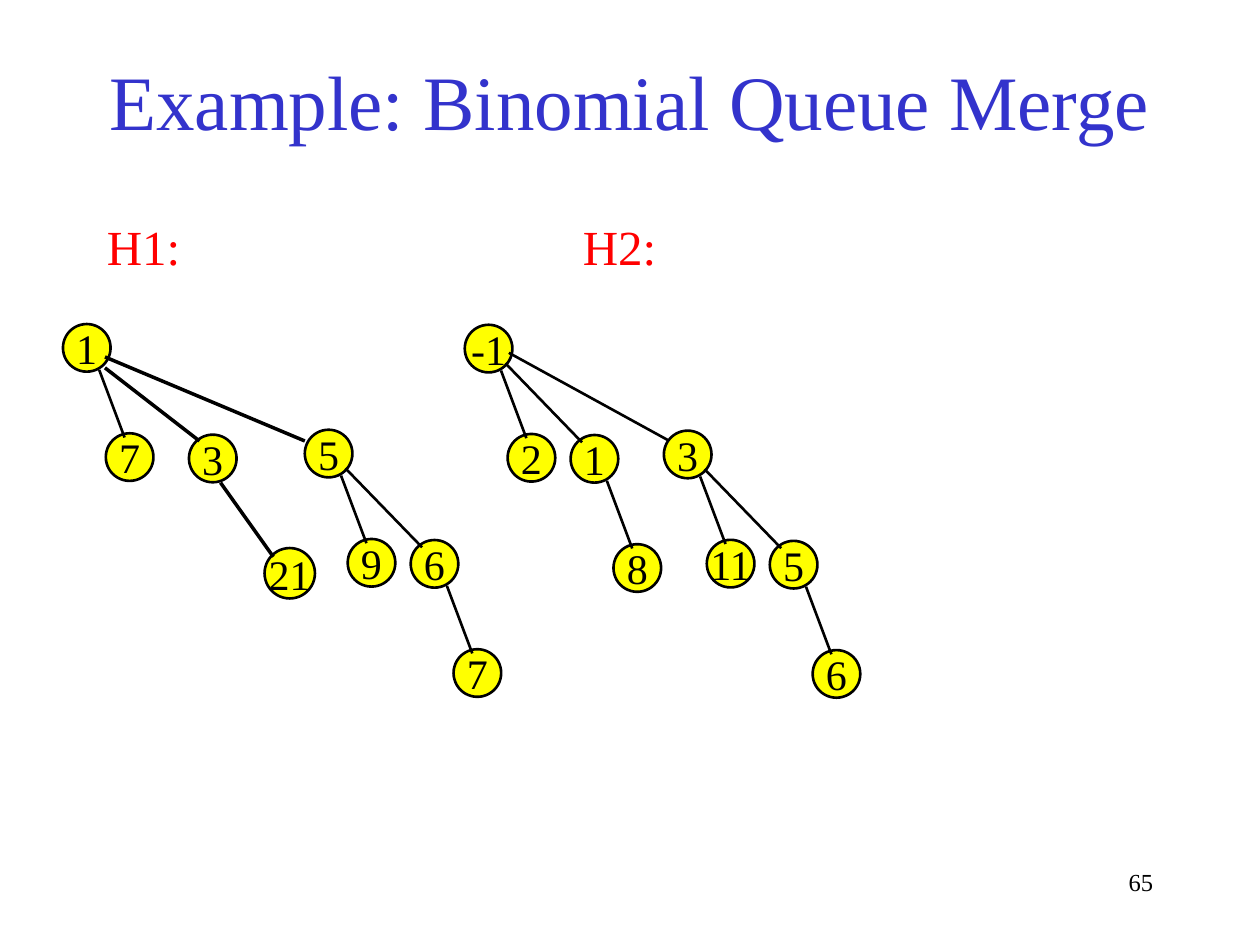
from lxml import etree
from pptx import Presentation
from pptx.dml.color import RGBColor
from pptx.enum.shapes import MSO_CONNECTOR, MSO_SHAPE
from pptx.enum.text import MSO_ANCHOR, PP_ALIGN
from pptx.oxml.ns import qn
from pptx.util import Pt

OVAL, LINE = MSO_SHAPE.OVAL, MSO_CONNECTOR.STRAIGHT
TOP, MID = MSO_ANCHOR.TOP, MSO_ANCHOR.MIDDLE
LEFT, MIDDLE, RIGHT = PP_ALIGN.LEFT, PP_ALIGN.CENTER, PP_ALIGN.RIGHT

# Content: a tree is (key, [(link kind, subtree), ...])
TITLE = "Example: Binomial Queue Merge"
HEADS = [("H1:", 54), ("H2:", 326)]
PAGE = "65"
H1 = ("1", [
    ("near", ("7", [])),
    ("wide", ("3", [("steep", ("21", []))])),
    ("long", ("5", [
        ("near", ("9", [])),
        ("mid", ("6", [("near", ("7", []))])),
    ])),
])
H2 = ("-1", [
    ("near", ("2", [])),
    ("mid", ("1", [("near", ("8", []))])),
    ("far", ("3", [
        ("near", ("11", [])),
        ("mid", ("5", [("near", ("6", []))])),
    ])),
])
ROOTS = [(H1, 36, 185.2), (H2, 265.6, 185.6)]

THEME = {
    "font": "Times New Roman",
    "title": {"size": Pt(44), "color": "3333CC"},
    "head": {"size": Pt(28), "color": "FF0000"},
    "node": {"size": Pt(24), "color": "000000"},
    "page": {"size": Pt(14), "color": "000000"},
    "fill": "FFFF00",
    "ink": "000000",
}
# Link kind: child offset, line start, line end (from parent's corner), weight
LINKS = {
    "near": ((24.5, 62.4), (20.7, 26.2), (35.2, 64.8), 1.5),
    "mid": ((60.5, 63), (23.2, 22), (67, 67.2), 1.5),
    "far": ((113.8, 60.5), (25.2, 16), (116.6, 66.2), 1.5),
    "wide": ((72, 63.2), (24, 25), (78, 66.8), 2),
    "long": ((138.2, 60.4), (24, 18.8), (138.2, 66.8), 2),
    "steep": ((43.2, 64.8), (18, 27.4), (48.2, 69.8), 2),
}
SIZE = 27.2
SIZES = {"21": 28.8}


def rgb(code):
    return RGBColor.from_string(code)


def write(shape, text, style, align, anchor, wrap=True):
    frame = shape.text_frame
    for name, value in {"word_wrap": wrap, "vertical_anchor": anchor}.items():
        setattr(frame, name, value)
    para = frame.paragraphs[0]
    para.alignment = align
    run = para.add_run()
    run.text = text
    for name, value in {"name": THEME["font"], "size": style["size"]}.items():
        setattr(run.font, name, value)
    run.font.color.rgb = rgb(style["color"])
    return frame


def label(slide, box, *args):
    write(slide.shapes.add_textbox(*map(Pt, box)), *args)


def node(slide, key, x, y):
    size = SIZES.get(key, SIZE)
    oval = slide.shapes.add_shape(OVAL, *map(Pt, (x, y, size, size)))
    oval.shadow.inherit = False
    oval.fill.solid()
    oval.fill.fore_color.rgb = rgb(THEME["fill"])
    oval.line.color.rgb = rgb(THEME["ink"])
    oval.line.width = Pt(1.5)
    frame = write(oval, key, THEME["node"], MIDDLE, MID, wrap=False)
    for side in ("left", "right", "top", "bottom"):
        setattr(frame, "margin_" + side, 0)


def edge(slide, x, y, start, end, weight):
    ends = (x + start[0], y + start[1], x + end[0], y + end[1])
    line = slide.shapes.add_connector(LINE, *map(Pt, ends))
    line.line.color.rgb = rgb(THEME["ink"])
    line.line.width = Pt(weight)
    etree.SubElement(line._element.spPr, qn("a:effectLst"))


def tree(slide, root, x, y):
    key, kids = root
    node(slide, key, x, y)
    for kind, kid in kids:
        (dx, dy), start, end, weight = LINKS[kind]
        tree(slide, kid, x + dx, y + dy)
        edge(slide, x, y, start, end, weight)


def main():
    deck = Presentation()
    deck.slide_width, deck.slide_height = Pt(720), Pt(540)
    slide = deck.slides.add_slide(deck.slide_layouts[6])

    # Title, queue headings and page number
    label(slide, (54, 12, 612, 90), TITLE, THEME["title"], MIDDLE, MID)
    for text, x in HEADS:
        label(slide, (x, 120, 72, 41), text, THEME["head"], LEFT, TOP)
    label(slide, (516, 492, 150, 36), PAGE, THEME["page"], RIGHT, TOP)

    # The two binomial trees
    for root, x, y in ROOTS:
        tree(slide, root, x, y)
    deck.save("out.pptx")


if __name__ == "__main__":
    main()
